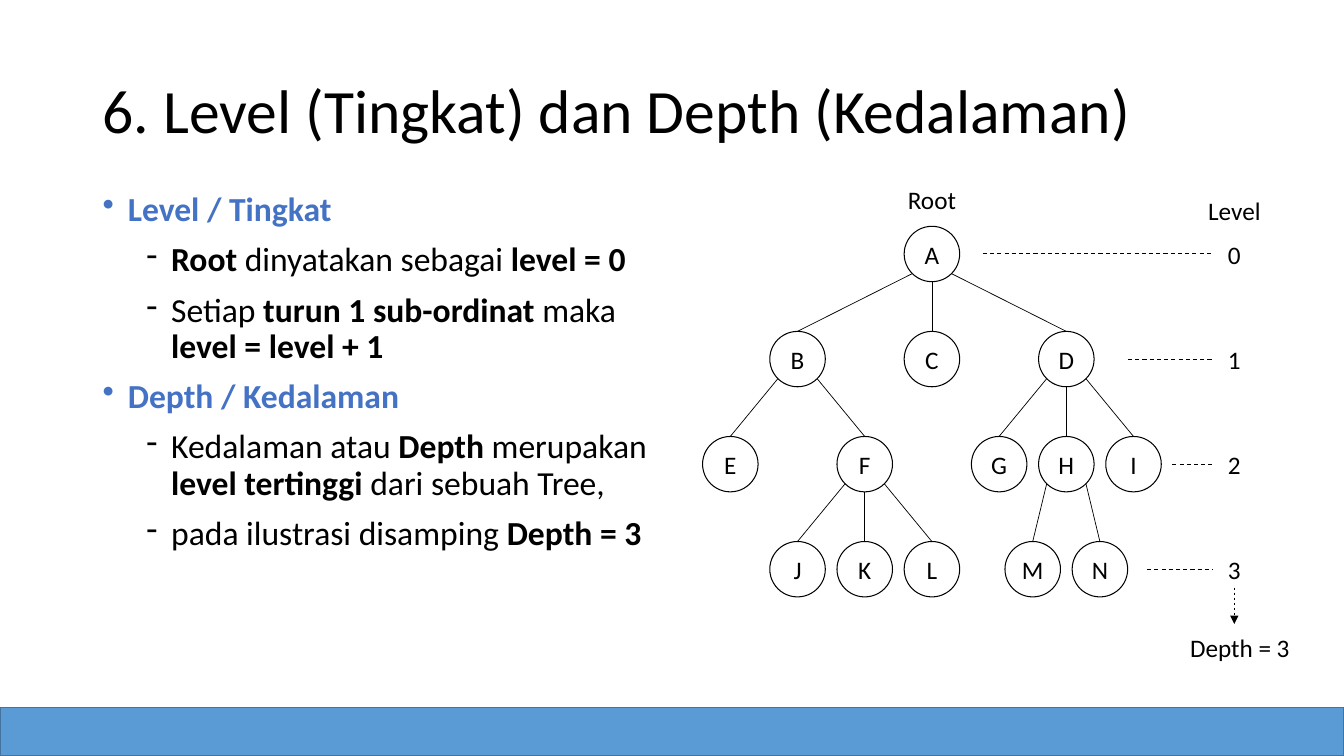
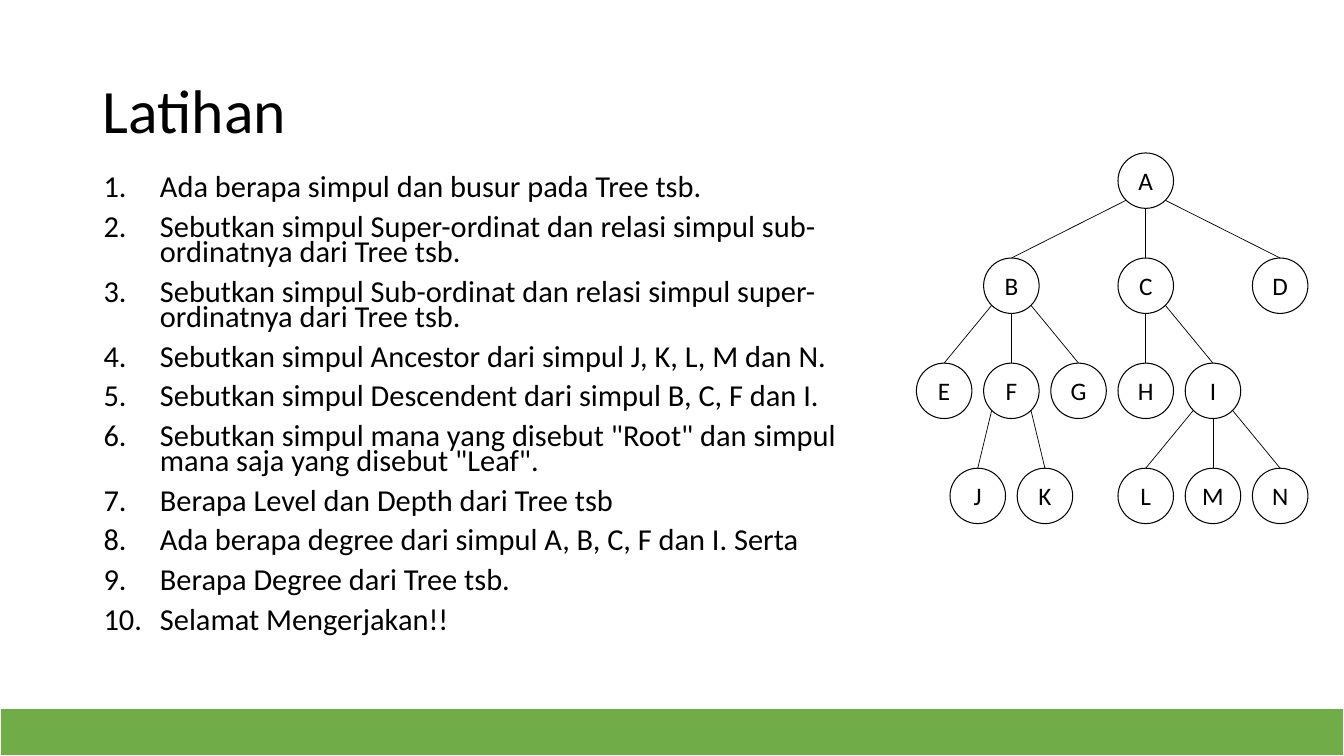
import pptx
import pptx.util
import pptx.dml.color
import pptx.enum.dml
import pptx.enum.shapes
import pptx.enum.text
import pptx.oxml
import pptx.oxml.ns

Pt = pptx.util.Pt
ALIGN = pptx.enum.text.PP_ALIGN
MIDDLE = pptx.enum.text.MSO_ANCHOR.MIDDLE
SHAPE = pptx.enum.shapes.MSO_SHAPE

WIDE, HIGH = pptx.util.Inches(13.333), pptx.util.Inches(7.5)
FONT = "Calibri"
INK = {"text": "000000", "head": "4472C4", "blue": "5B9BD5", "edge": "43739E",
       "green": "70AD47", "white": "FFFFFF"}

# Tree grid and node size, in percent of the slide
COL, ROW = 5, 13.9
NODE_W, NODE_H = 4.13, 7.33
BEND = 0.354  # half of cos 45: where slanted edges leave a node

# name: (column from the root, level, parent)
LEVELS = {
    "A": (0, 0, ""), "B": (-2, 1, "A"), "C": (0, 1, "A"), "D": (2, 1, "A"),
    "E": (-3, 2, "B"), "F": (-1, 2, "B"),
    "G": (1, 2, "D"), "H": (2, 2, "D"), "I": (3, 2, "D"),
    "J": (-2, 3, "F"), "K": (-1, 3, "F"), "L": (0, 3, "F"),
    "M": (1.5, 3, "H"), "N": (2.5, 3, "H"),
}
DRILL = {
    "A": (0, 0, ""), "B": (-2, 1, "A"), "C": (0, 1, "A"), "D": (2, 1, "A"),
    "E": (-3, 2, "B"), "F": (-2, 2, "B"), "G": (-1, 2, "B"),
    "H": (0, 2, "C"), "I": (1, 2, "C"),
    "J": (-2.5, 3, "F"), "K": (-1.5, 3, "F"),
    "L": (0, 3, "I"), "M": (1, 3, "I"), "N": (2, 3, "I"),
}

# Asterisks switch bold on and off
POINTS = [
    ("head", "*Level / Tingkat*"),
    ("text", "*Root *dinyatakan sebagai *level = 0*"),
    ("text", "Setiap *turun 1 sub-ordinat *maka *level = level + 1*"),
    ("head", "*Depth / Kedalaman*"),
    ("text", "Kedalaman atau *Depth *merupakan *level tertinggi *dari sebuah Tree,"),
    ("text", "pada ilustrasi disamping *Depth = 3*"),
]
TASKS = [
    "Ada berapa simpul dan busur pada Tree tsb.",
    "Sebutkan simpul Super-ordinat dan relasi simpul sub-ordinatnya dari Tree tsb.",
    "Sebutkan simpul Sub-ordinat dan relasi simpul super-ordinatnya dari Tree tsb.",
    "Sebutkan simpul Ancestor dari simpul J, K, L, M dan N.",
    "Sebutkan simpul Descendent dari simpul B, C, F dan I.",
    'Sebutkan simpul mana yang disebut "Root" dan simpul mana saja yang disebut "Leaf".',
    "Berapa Level dan Depth dari Tree tsb",
    "Ada berapa degree dari simpul A, B, C, F dan I. Serta",
    "Berapa Degree dari Tree tsb.",
    "Selamat Mengerjakan!!",
]


def color(name):
    return pptx.dml.color.RGBColor.from_string(INK[name])


def place(x, y, w, h):
    """Turn percents of the slide into lengths."""
    return [int(side * part / 100)
            for side, part in zip((WIDE, HIGH, WIDE, HIGH), (x, y, w, h))]


def style(run, size, ink="text", bold=False):
    run.font.name, run.font.size, run.font.bold = FONT, Pt(size), bold
    run.font.color.rgb = color(ink)


def center(shape, text):
    """Put one 18 point line in the middle of a shape."""
    frame = shape.text_frame
    frame.margin_left = frame.margin_right = 0
    frame.margin_top = frame.margin_bottom = 0
    frame.vertical_anchor, frame.word_wrap = MIDDLE, True
    frame.text = text
    line = frame.paragraphs[0]
    line.alignment = ALIGN.CENTER
    style(line.runs[0], 18)


def page(deck, text, fill, edge, width):
    """Add a slide with its title and bottom band."""
    slide = deck.slides.add_slide(deck.slide_layouts[5])
    title = slide.shapes.title
    title.left, title.top, title.width, title.height = place(6.9, 5.33, 86.25, 19.33)
    frame = title.text_frame
    frame.text = text
    frame.auto_size = pptx.enum.text.MSO_AUTO_SIZE.NONE
    frame.vertical_anchor = MIDDLE
    line = frame.paragraphs[0]
    line.alignment, line.line_spacing = ALIGN.LEFT, 0.9
    style(line.runs[0], 44)
    band = slide.shapes.add_shape(SHAPE.RECTANGLE, *place(0, 93.6, 100, 6.4))
    band.shadow.inherit = False
    band.fill.solid()
    band.fill.fore_color.rgb = color(fill)
    band.line.color.rgb, band.line.width = color(edge), Pt(width)
    return slide


def bullet(line, tag, indent, hang, **marks):
    """Give a paragraph a hanging mark; indents are in inches."""
    props = line._p.get_or_add_pPr()
    props.set("marL", str(pptx.util.Inches(indent)))
    props.set("indent", str(-pptx.util.Inches(hang)))
    mark = pptx.oxml.parse_xml(f"<a:{tag} {pptx.oxml.ns.nsdecls('a')}/>")
    for key, value in marks.items():
        mark.set(key, value)
    props.append(mark)


def body(slide, area, items, size, space):
    """Write (ink, text) items as paragraphs and return them."""
    frame = slide.shapes.add_textbox(*place(*area)).text_frame
    frame.word_wrap = True
    lines = []
    for ink, text in items:
        line = frame.add_paragraph() if lines else frame.paragraphs[0]
        line.line_spacing, line.space_before = space, Pt(10)
        for turn, part in enumerate(text.split("*")):
            if part:
                run = line.add_run()
                run.text = part
                style(run, size, ink, turn % 2 == 1)
        lines.append(line)
    return lines


def link(slide, start, end, width=0.5, dash=False, arrow=False):
    line = slide.shapes.add_connector(pptx.enum.shapes.MSO_CONNECTOR.STRAIGHT,
                                      *place(*start, *end))
    line.line.color.rgb, line.line.width = color("text"), Pt(width)
    if dash:
        line.line.dash_style = pptx.enum.dml.MSO_LINE.DASH
    space = pptx.oxml.ns.nsdecls("a")
    if arrow:
        line.line._get_or_add_ln().append(
            pptx.oxml.parse_xml(f'<a:tailEnd {space} type="triangle"/>'))
    line._element.spPr.append(pptx.oxml.parse_xml(f"<a:effectLst {space}/>"))


def label(slide, x, y, text):
    """Write a short text centred on a point."""
    center(slide.shapes.add_textbox(*place(x - 5, y - 2.7, 10, 5.4)), text)


def tree(slide, x, y, nodes):
    """Draw a tree with the middle of its root at x, y."""
    for name, (col, level, parent) in nodes.items():
        mid, row = x + col * COL, y + level * ROW
        node = slide.shapes.add_shape(
            SHAPE.OVAL, *place(mid - NODE_W / 2, row - NODE_H / 2, NODE_W, NODE_H))
        node.shadow.inherit = False
        node.fill.background()
        node.line.color.rgb, node.line.width = color("text"), Pt(0.75)
        center(node, name)
        if parent:
            above = nodes[parent][0]
            side = (col > above) - (col < above)
            drop = BEND if side else 0.5
            link(slide, (x + above * COL + side * BEND * NODE_W,
                         row - ROW + drop * NODE_H), (mid, row - NODE_H / 2))


def scale(slide, x, y):
    """Mark the levels of a tree whose root is at x, y."""
    mid = 91.84
    label(slide, x, y - 7.2, "Root")
    label(slide, mid, y - 5.73, "Level")
    for level, start in enumerate((73.13, 83.93, 87.23, 85.35)):
        row = y + level * ROW
        link(slide, (start, row), (90.2, row), 0.75, dash=True)
        label(slide, mid, row, str(level))
    link(slide, (mid, 77.73), (mid, 82.53), dash=True, arrow=True)
    label(slide, 92.25, 85.6, "Depth = 3")


def main():
    deck = pptx.Presentation()
    deck.slide_width, deck.slide_height = WIDE, HIGH

    slide = page(deck, "6. Level (Tingkat) dan Depth (Kedalaman)", "blue", "edge", 1)
    lines = body(slide, (6.9, 24.8, 42.1, 63.5), POINTS, 24, 0.9)
    for line, (ink, _) in zip(lines, POINTS):
        indent, mark = (0.25, "•") if ink == "head" else (0.68, "‐")
        bullet(line, "buChar", indent, 0.25, char=mark)
    root = (69.34, 33.6)
    tree(slide, *root, LEVELS)
    scale(slide, *root)

    slide = page(deck, "Latihan", "green", "white", 1.5)
    tasks = [("text", task) for task in TASKS]
    for line in body(slide, (6.97, 22.8, 58.1, 65.5), tasks, 21.7, 0.7):
        bullet(line, "buAutoNum", 0.56, 0.56, type="arabicPeriod")
    tree(slide, 85.25, 23.9, DRILL)

    deck.save("out.pptx")


if __name__ == "__main__":
    main()
